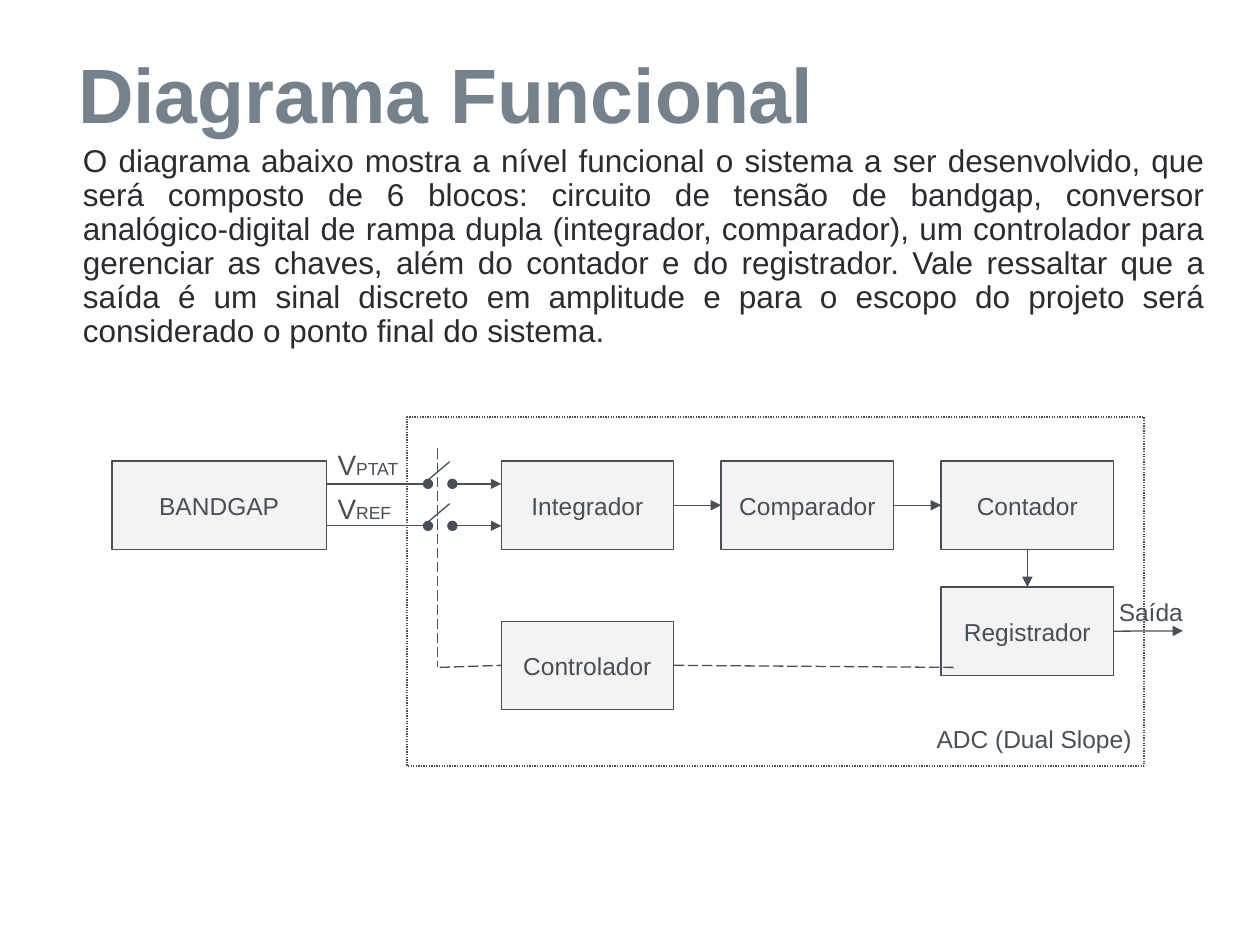
from dataclasses import dataclass
from typing import Optional

from lxml import etree
from pptx import Presentation
from pptx.dml.color import RGBColor
from pptx.enum import dml, shapes, text
from pptx.oxml import ns
from pptx.util import Pt

SLATE = RGBColor(0x48, 0x4F, 0x56)
NAVY = RGBColor(0x44, 0x54, 0x6A)
TITLE_GRAY = RGBColor(0x75, 0x81, 0x8B)
BODY_GRAY = RGBColor(0x29, 0x2D, 0x31)
BLOCK_FILL = RGBColor(0xF3, 0xF3, 0xF3)

ROW_TOP = 263.5
BLOCK_W, BLOCK_H = 98.6, 50.4
COLUMNS = [286.4 + 125.7 * i for i in range(3)]
SWITCH_ROWS = (276.5, 300.5)
CONTROL_Y = 381.4
DASHED = dml.MSO_LINE.LONG_DASH

INTRO = (
    "O diagrama abaixo mostra a nível funcional o sistema a ser desenvolvido, "
    "que será composto de 6 blocos: circuito de tensão de bandgap, conversor "
    "analógico-digital de rampa dupla (integrador, comparador), um controlador "
    "para gerenciar as chaves, além do contador e do registrador. Vale ressaltar "
    "que a saída é um sinal discreto em amplitude e para o escopo do projeto será "
    "considerado o ponto final do sistema."
)


@dataclass
class Block:
    label: str
    left: float
    top: float
    width: float = BLOCK_W
    height: float = BLOCK_H
    fill: Optional[RGBColor] = BLOCK_FILL
    dash: Optional[dml.MSO_LINE] = None
    align: text.PP_ALIGN = text.PP_ALIGN.CENTER
    anchor: text.MSO_ANCHOR = text.MSO_ANCHOR.MIDDLE


@dataclass
class Wire:
    start: tuple
    end: tuple
    head: Optional[str] = None
    tail: Optional[str] = None
    dash: Optional[dml.MSO_LINE] = None
    color: RGBColor = SLATE
    source: Optional[tuple] = None
    target: Optional[tuple] = None


@dataclass
class Label:
    pieces: list
    left: float
    top: float
    width: float


def style_run(run, size: float, color: RGBColor, bold: bool = False) -> None:
    run.font.name = "Arial"
    run.font.size = Pt(size)
    run.font.bold = bold
    run.font.color.rgb = color


def set_frame(frame, inset_y: float, anchor=text.MSO_ANCHOR.TOP) -> None:
    frame.word_wrap = True
    frame.auto_size = text.MSO_AUTO_SIZE.NONE
    frame.vertical_anchor = anchor
    frame.margin_left = frame.margin_right = Pt(7.2)
    frame.margin_top = frame.margin_bottom = Pt(inset_y)


def place(shape, left: float, top: float, width: float, height: float) -> None:
    shape.left, shape.top = Pt(left), Pt(top)
    shape.width, shape.height = Pt(width), Pt(height)


def draw_block(slide, block: Block):
    shape = slide.shapes.add_shape(
        shapes.MSO_SHAPE.RECTANGLE,
        Pt(block.left), Pt(block.top), Pt(block.width), Pt(block.height))
    shape.shadow.inherit = False
    if block.fill is None:
        shape.fill.background()
    else:
        shape.fill.solid()
        shape.fill.fore_color.rgb = block.fill
    shape.line.color.rgb = SLATE
    shape.line.width = Pt(0.75)
    if block.dash is not None:
        shape.line.dash_style = block.dash
    set_frame(shape.text_frame, 7.2, block.anchor)
    paragraph = shape.text_frame.paragraphs[0]
    paragraph.text = block.label
    paragraph.alignment = block.align
    style_run(paragraph.runs[0], 14, SLATE)
    return shape


def draw_wire(slide, wire: Wire) -> None:
    connector = slide.shapes.add_connector(
        shapes.MSO_CONNECTOR.STRAIGHT, *map(Pt, wire.start + wire.end))
    if wire.source:
        connector.begin_connect(*wire.source)
    if wire.target:
        connector.end_connect(*wire.target)
    connector.line.color.rgb = wire.color
    connector.line.width = Pt(0.75)
    if wire.dash is not None:
        connector.line.dash_style = wire.dash
    properties = connector._element.spPr
    outline = properties.find(ns.qn("a:ln"))
    for tag, kind in (("a:headEnd", wire.head), ("a:tailEnd", wire.tail)):
        if kind:
            etree.SubElement(outline, ns.qn(tag), type=kind)
    etree.SubElement(properties, ns.qn("a:effectLst"))


def draw_label(slide, label: Label) -> None:
    box = slide.shapes.add_textbox(
        Pt(label.left), Pt(label.top), Pt(label.width), Pt(21.6))
    set_frame(box.text_frame, 7.2)
    paragraph = box.text_frame.paragraphs[0]
    for content, size in label.pieces:
        run = paragraph.add_run()
        run.text = content
        style_run(run, size, SLATE)


def draw_heading(slide) -> None:
    title = slide.shapes.title
    place(title, 37.4, 28.8, 620.6, 104.4)
    intro = slide.shapes.add_textbox(Pt(40.3), Pt(79.2), Pt(655.2), Pt(151.9))
    for shape, content, size, color, bold, align in (
        (title, "Diagrama Funcional", 44, TITLE_GRAY, True, text.PP_ALIGN.LEFT),
        (intro, INTRO, 18, BODY_GRAY, False, text.PP_ALIGN.JUSTIFY),
    ):
        set_frame(shape.text_frame, 3.6)
        paragraph = shape.text_frame.paragraphs[0]
        paragraph.text = content
        paragraph.alignment = align
        paragraph.line_spacing = 0.9
        style_run(paragraph.runs[0], size, color, bold)
    intro.text_frame.paragraphs[0].space_before = Pt(10)


def main() -> None:
    prs = Presentation()
    prs.slide_width, prs.slide_height = Pt(720), Pt(540)
    slide = prs.slides.add_slide(prs.slide_layouts[5])
    draw_heading(slide)

    draw_block(slide, Block("BANDGAP", 64, ROW_TOP, width=122.5))
    draw_block(slide, Block(
        "ADC (Dual Slope)", 232.6, 238.4, 421.2, 199.4, None,
        dml.MSO_LINE.ROUND_DOT, text.PP_ALIGN.RIGHT, text.MSO_ANCHOR.BOTTOM))
    integrator, comparator, counter = [
        draw_block(slide, Block(name, left, ROW_TOP))
        for name, left in zip(("Integrador", "Comparador", "Contador"), COLUMNS)]
    register = draw_block(slide, Block("Registrador", COLUMNS[2], 335.5))
    controller = draw_block(slide, Block("Controlador", COLUMNS[0], 355))

    wires = [
        Wire((0, 0), (0, 0), tail="triangle", source=(a, out), target=(b, into))
        for a, out, b, into in (
            (integrator, 3, comparator, 1),
            (comparator, 3, counter, 1),
            (counter, 2, register, 0))]
    for y in SWITCH_ROWS:
        wires += [
            Wire((186.5, y), (244.6, y), tail="oval"),
            Wire((242, y), (257, y - 12.7)),
            Wire((258.5, y), (COLUMNS[0], y), head="oval", tail="triangle")]
    wires += [
        Wire((250, 256.3), (250, CONTROL_Y), dash=DASHED, color=NAVY),
        Wire((251.3, CONTROL_Y), (0, 0), dash=DASHED, target=(controller, 1)),
        Wire((0, 0), (545, CONTROL_Y), dash=DASHED, source=(controller, 3)),
        Wire((0, 0), (676, 360.5), tail="triangle", source=(register, 3))]
    for wire in wires:
        draw_wire(slide, wire)

    for label in (
        Label([("V", 16), ("PTAT", 10)], 185.8, 248.6, 51.1),
        Label([("V", 16), ("REF", 10)], 185.8, 273.6, 51.1),
        Label([("Saída", 14)], 632.2, 334, 73.4),
    ):
        draw_label(slide, label)

    prs.save("out.pptx")


if __name__ == "__main__":
    main()
